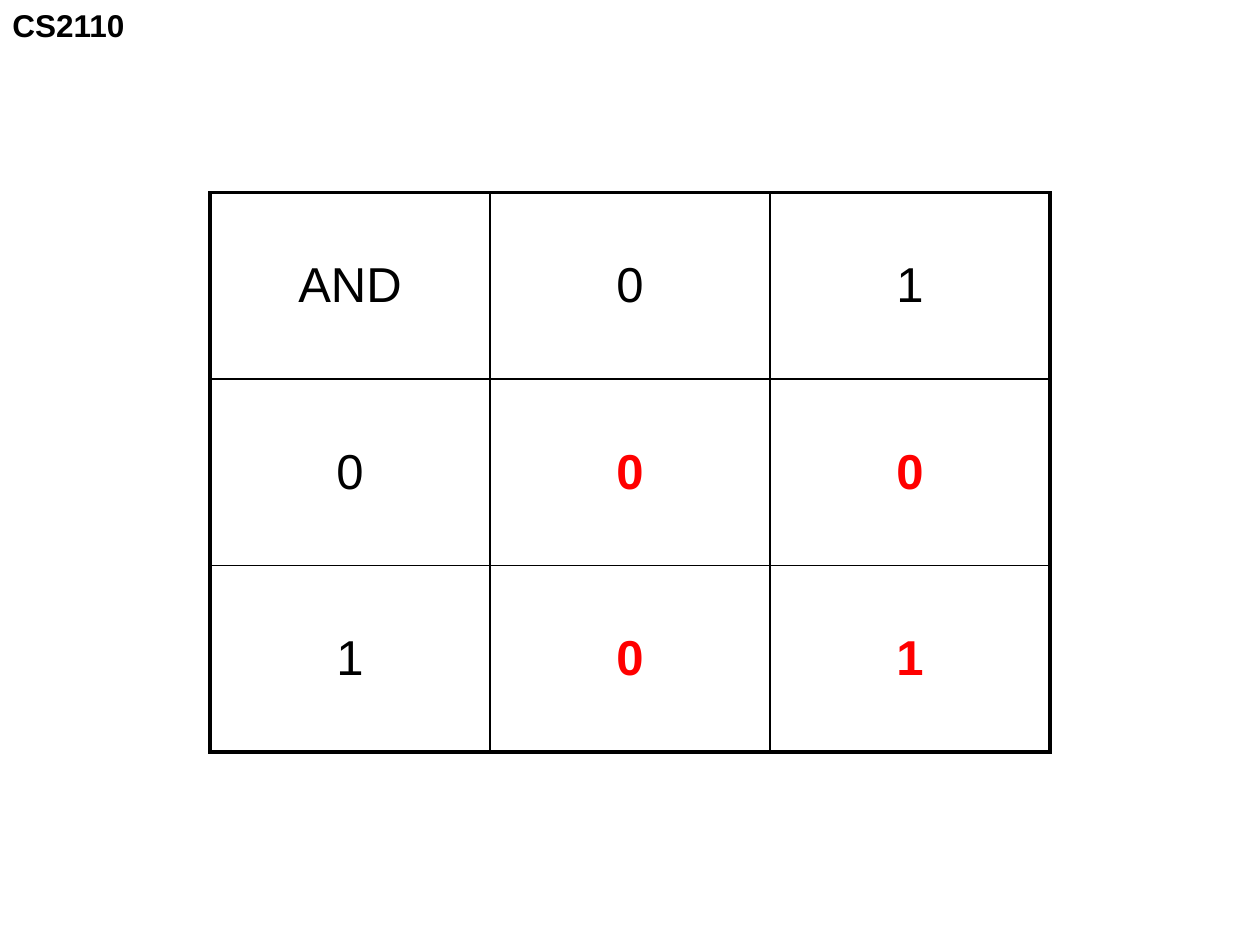
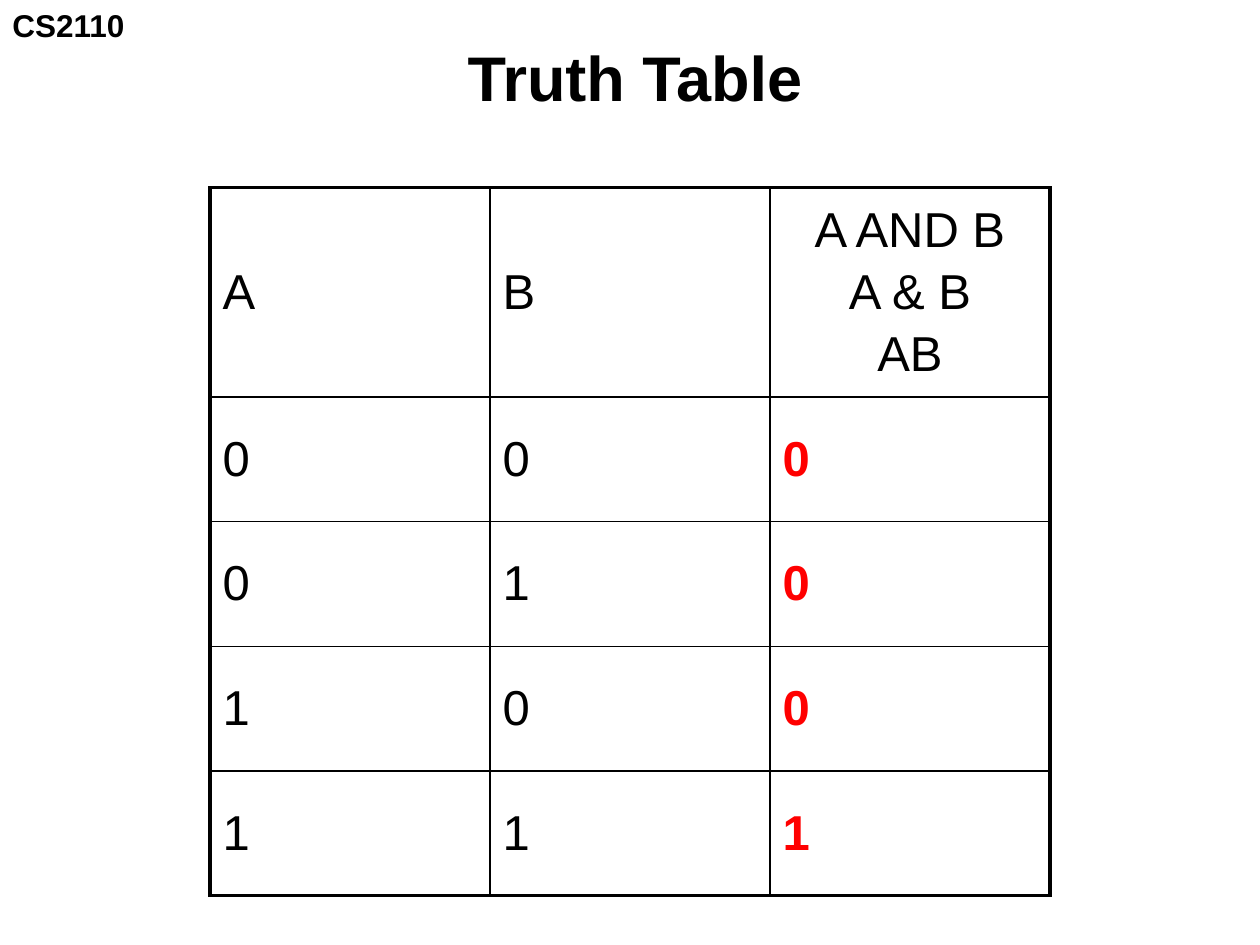
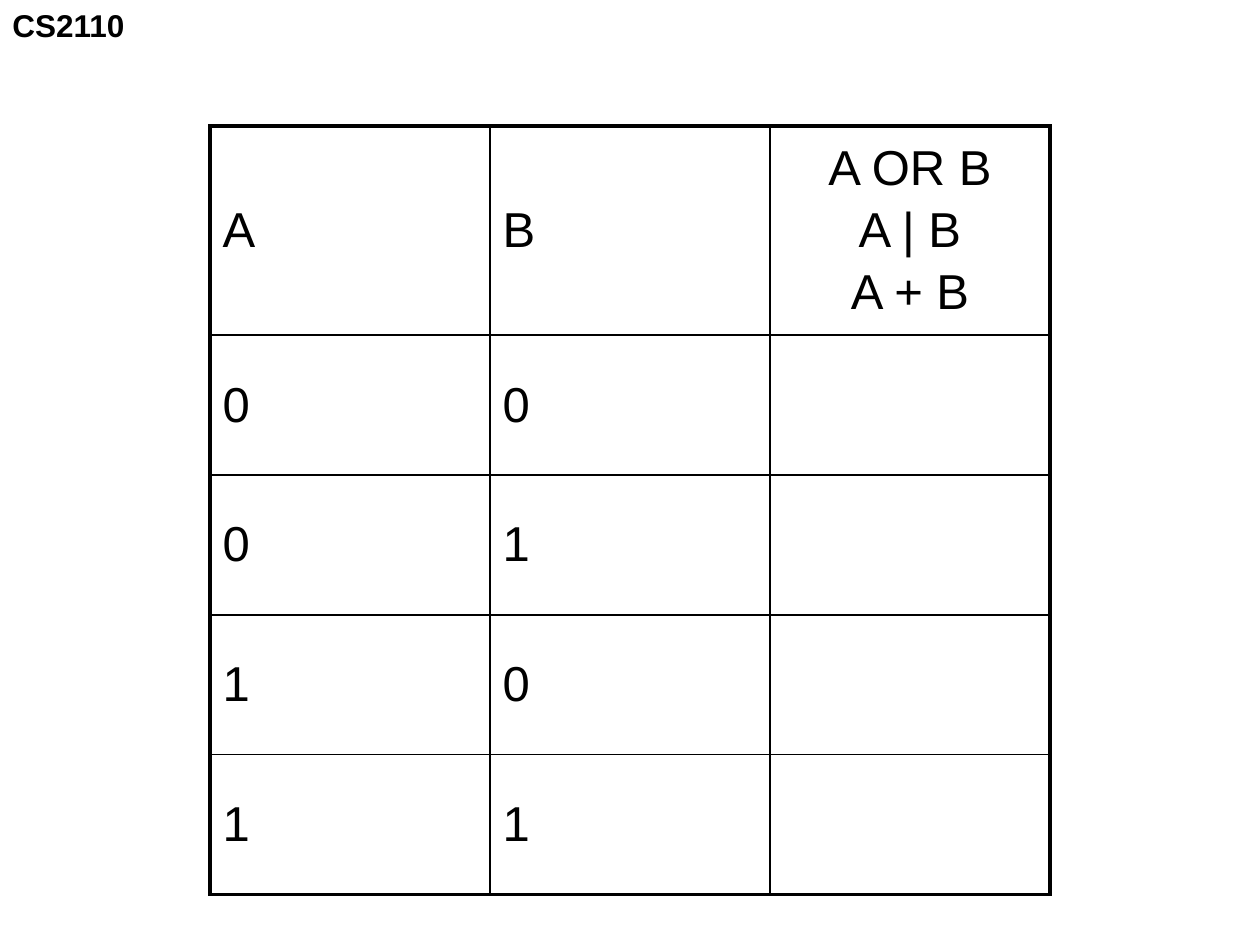
"""Build three slides of logic tables for AND and OR."""
from lxml import etree
from pptx import Presentation
from pptx.dml.color import RGBColor
from pptx.enum.text import MSO_ANCHOR, MSO_AUTO_SIZE, PP_ALIGN
from pptx.oxml.ns import qn
from pptx.util import Inches, Pt

LEFT, MID = PP_ALIGN.LEFT, PP_ALIGN.CENTER
CENTRE = MSO_ANCHOR.MIDDLE
NOFIT = MSO_AUTO_SIZE.NONE
FONT = "Arial"
COLORS = {"ink": "000000", "mark": "FF0000", "page": "FFFFFF"}
THIN, THICK = 1, 2.25
TITLE_ONLY, BLANK = 5, 6


def add_run(para, text, size, color="ink", bold=False):
    run = para.add_run()
    run.text = text
    run.font.name = FONT
    run.font.size = Pt(size)
    run.font.bold = bold
    run.font.color.rgb = RGBColor.from_string(COLORS[color])


def add_edge(cell, side, width):
    props = cell._tc.get_or_add_tcPr()
    line = etree.SubElement(props, qn(f"a:ln{side}"), w=str(Pt(width)))
    fill = etree.SubElement(line, qn("a:solidFill"))
    etree.SubElement(fill, qn("a:srgbClr"), val=COLORS["ink"])


prs = Presentation()
prs.slide_width, prs.slide_height = Inches(10), Inches(7.5)
WIDE = prs.slide_width
COL = WIDE * 2 // 9

pages = [
    {"title": None, "top": 1.53, "head": 1.48, "row": 1.48, "align": MID, "answers": 1,
     "cells": [["AND", "0", "1"], ["0", "0", "0"], ["1", "0", "1"]]},
    {"title": "Truth Table", "top": 1.49, "head": 1.66, "row": 0.99, "align": LEFT, "answers": 2,
     "cells": [["A", "B", "A AND B\nA & B\nAB"],
               ["0", "0", "0"], ["0", "1", "0"], ["1", "0", "0"], ["1", "1", "1"]]},
    {"title": None, "top": 1, "head": 1.66, "row": 1.11, "align": LEFT, "answers": 2,
     "cells": [["A", "B", "A OR B\nA | B\nA + B"],
               ["0", "0", ""], ["0", "1", ""], ["1", "0", ""], ["1", "1", ""]]},
]

for page in pages:
    layout = prs.slide_layouts[TITLE_ONLY if page["title"] else BLANK]
    slide = prs.slides.add_slide(layout)

    if page["title"]:
        title = slide.shapes.title
        title.left, title.top = Inches(1.83), Inches(0.25)
        title.width, title.height = Inches(6.42), Inches(0.71)
        frame = title.text_frame
        frame.auto_size = NOFIT
        frame.vertical_anchor = CENTRE
        frame.paragraphs[0].alignment = MID
        add_run(frame.paragraphs[0], page["title"], 36, bold=True)

    cells = page["cells"]
    rows, cols = len(cells), len(cells[0])
    high = Inches(page["head"] + page["row"] * (rows - 1))
    table = slide.shapes.add_table(rows, cols, WIDE // 6, Inches(page["top"]), COL * cols, high).table
    table.first_row = table.horz_banding = False
    for col in table.columns:
        col.width = COL
    for i, row in enumerate(table.rows):
        row.height = Inches(page["row"] if i else page["head"])
        for j, text in enumerate(cells[i]):
            cell = table.cell(i, j)
            outer = {"L": j == 0, "R": j == cols - 1, "T": i == 0, "B": i == rows - 1}
            for side, edge in outer.items():
                add_edge(cell, side, THICK if edge else THIN)
            cell.fill.solid()
            cell.fill.fore_color.rgb = RGBColor.from_string(COLORS["page"])
            cell.vertical_anchor = CENTRE
            if not text:
                continue
            answer = i > 0 and j >= page["answers"]
            lines = text.split("\n")
            for n, part in enumerate(lines):
                para = cell.text_frame.add_paragraph() if n else cell.text_frame.paragraphs[0]
                if n:
                    para.space_before = Pt(4.4)
                para.alignment = MID if len(lines) > 1 else page["align"]
                add_run(para, part, 28, "mark" if answer else "ink", answer)

label = prs.slides[0].shapes.add_textbox(0, 0, Inches(1.1), Inches(0.4))
label.text_frame.word_wrap = False
add_run(label.text_frame.paragraphs[0], "CS2110", 18, bold=True)
prs.slide_master.shapes.element.append(label.element)

prs.save("out.pptx")
